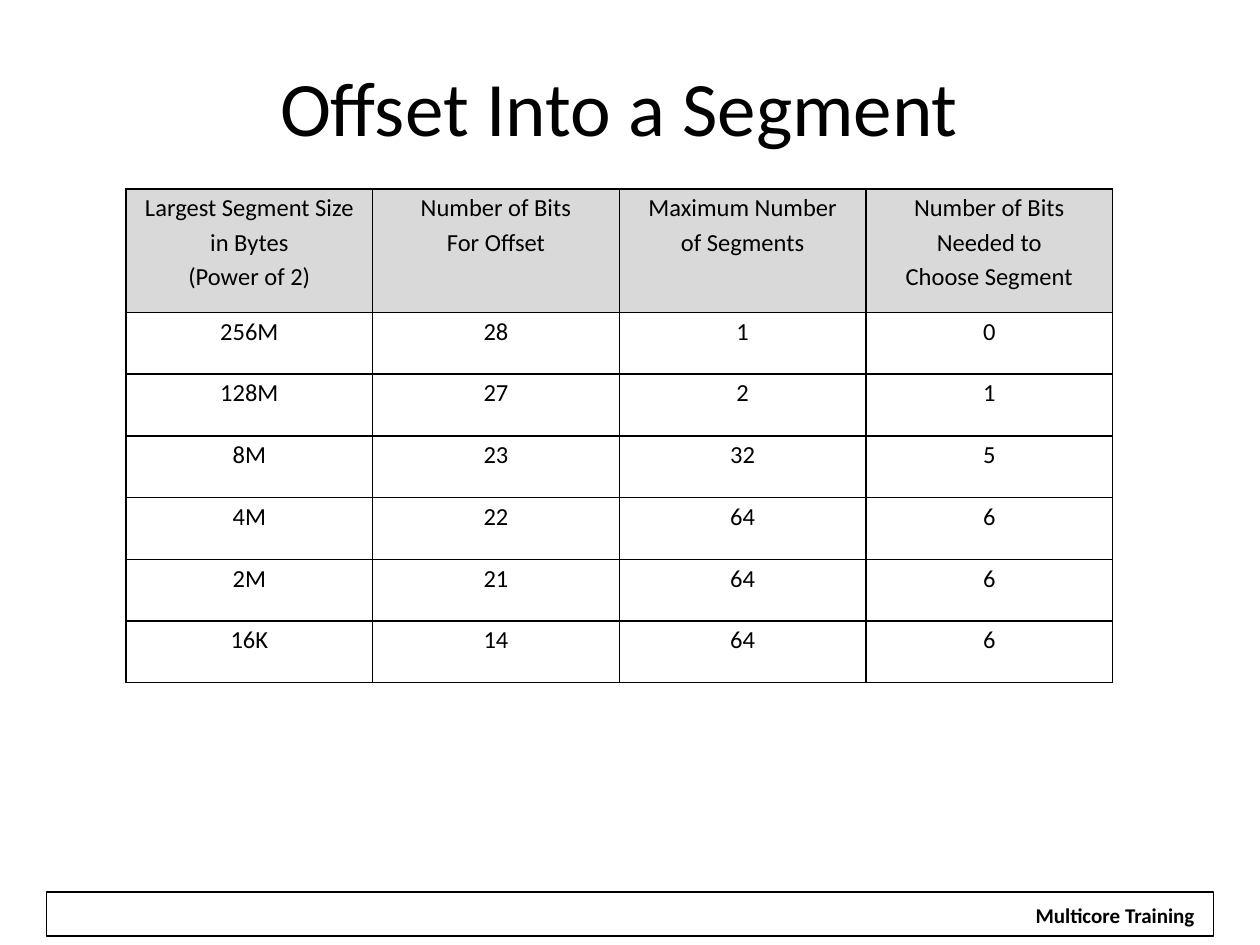
"""Build the slide on segment sizes and offset bits."""
import pptx
import pptx.dml.color
import pptx.enum.shapes
import pptx.enum.text
import pptx.oxml
import pptx.oxml.ns
import pptx.util

Inches = pptx.util.Inches
Pt = pptx.util.Pt
RGB = pptx.dml.color.RGBColor.from_string
CENTER = pptx.enum.text.PP_ALIGN.CENTER

THEME = {
    "font": "Calibri", "ink": "000000", "paper": "FFFFFF", "header": "D9D9D9",
    "title_size": 44, "table_size": 14, "footer_size": 12,
}
TITLE = "Offset Into a Segment"
FOOTER = "Multicore Training"
HEADERS = [
    "Largest Segment Size in Bytes\n(Power of 2)",
    "Number of Bits\nFor Offset",
    "Maximum Number\nof Segments",
    "Number of Bits Needed to\nChoose Segment",
]
SEGMENTS = [
    ("256M", 28, 1, 0),
    ("128M", 27, 2, 1),
    ("8M", 23, 32, 5),
    ("4M", 22, 64, 6),
    ("2M", 21, 64, 6),
    ("16K", 14, 64, 6),
]
TABLE_LEFT, TABLE_TOP, TABLE_WIDTH = 1, 1.5, 7.83
ROW_HEIGHT = 0.49


def write(frame, text, size, bold=False, spacing=1.0):
    frame.text = text
    for paragraph in frame.paragraphs:
        paragraph.alignment = CENTER
        paragraph.line_spacing = spacing
        paragraph.font.name = THEME["font"]
        paragraph.font.size = Pt(size)
        paragraph.font.bold = bold
        paragraph.font.color.rgb = RGB(THEME["ink"])


def add_box(slide, left, top, width, height):
    box = slide.shapes.add_shape(
        pptx.enum.shapes.MSO_SHAPE.RECTANGLE,
        Inches(left), Inches(top), Inches(width), Inches(height))
    box.shadow.inherit = False
    return box


def add_footer(slide):
    bar = add_box(slide, 0.37, 7.08, 9.26, 0.35)
    bar.fill.background()
    bar.line.color.rgb = RGB(THEME["ink"])
    bar.line.width = Pt(0.75)
    label = add_box(slide, 8.11, 7.11, 1.48, 0.3)
    label.fill.solid()
    label.fill.fore_color.rgb = RGB(THEME["paper"])
    label.line.fill.background()
    label.text_frame.word_wrap = False
    write(label.text_frame, FOOTER, THEME["footer_size"], bold=True)


def add_title(slide):
    title = slide.shapes.title
    title.left, title.top = Inches(1.83), Inches(0.42)
    title.width, title.height = Inches(6.17), Inches(0.84)
    title.text_frame.auto_size = pptx.enum.text.MSO_AUTO_SIZE.NONE
    write(title.text_frame, TITLE, THEME["title_size"])


def draw_borders(cell):
    properties = cell._tc.get_or_add_tcPr()
    for position, side in enumerate(("lnL", "lnR", "lnT", "lnB")):
        border = pptx.oxml.parse_xml(
            f'<a:{side} {pptx.oxml.ns.nsdecls("a")} w="{Pt(1)}"><a:solidFill>'
            f'<a:srgbClr val="{THEME["ink"]}"/></a:solidFill></a:{side}>')
        properties.insert(position, border)


def add_segment_table(slide):
    rows = [HEADERS, *SEGMENTS]
    table = slide.shapes.add_table(
        len(rows), len(HEADERS), Inches(TABLE_LEFT), Inches(TABLE_TOP),
        Inches(TABLE_WIDTH), Inches(ROW_HEIGHT * (len(rows) + 1))).table
    for column in table.columns:
        column.width = Inches(TABLE_WIDTH / len(HEADERS))
    for r, values in enumerate(rows):
        table.rows[r].height = Inches(ROW_HEIGHT * (1 if r else 2))
        for c, value in enumerate(values):
            cell = table.cell(r, c)
            cell.margin_left = cell.margin_right = Inches(0.07)
            cell.margin_top = cell.margin_bottom = 0
            write(cell.text_frame, str(value), THEME["table_size"], spacing=1.15)
            cell.fill.solid()
            cell.fill.fore_color.rgb = RGB(THEME["paper" if r else "header"])
            draw_borders(cell)


def main():
    deck = pptx.Presentation()
    deck.slide_width, deck.slide_height = Inches(10), Inches(7.5)
    slide = deck.slides.add_slide(deck.slide_layouts[5])
    add_footer(slide)
    add_title(slide)
    add_segment_table(slide)
    deck.save("out.pptx")


if __name__ == "__main__":
    main()
